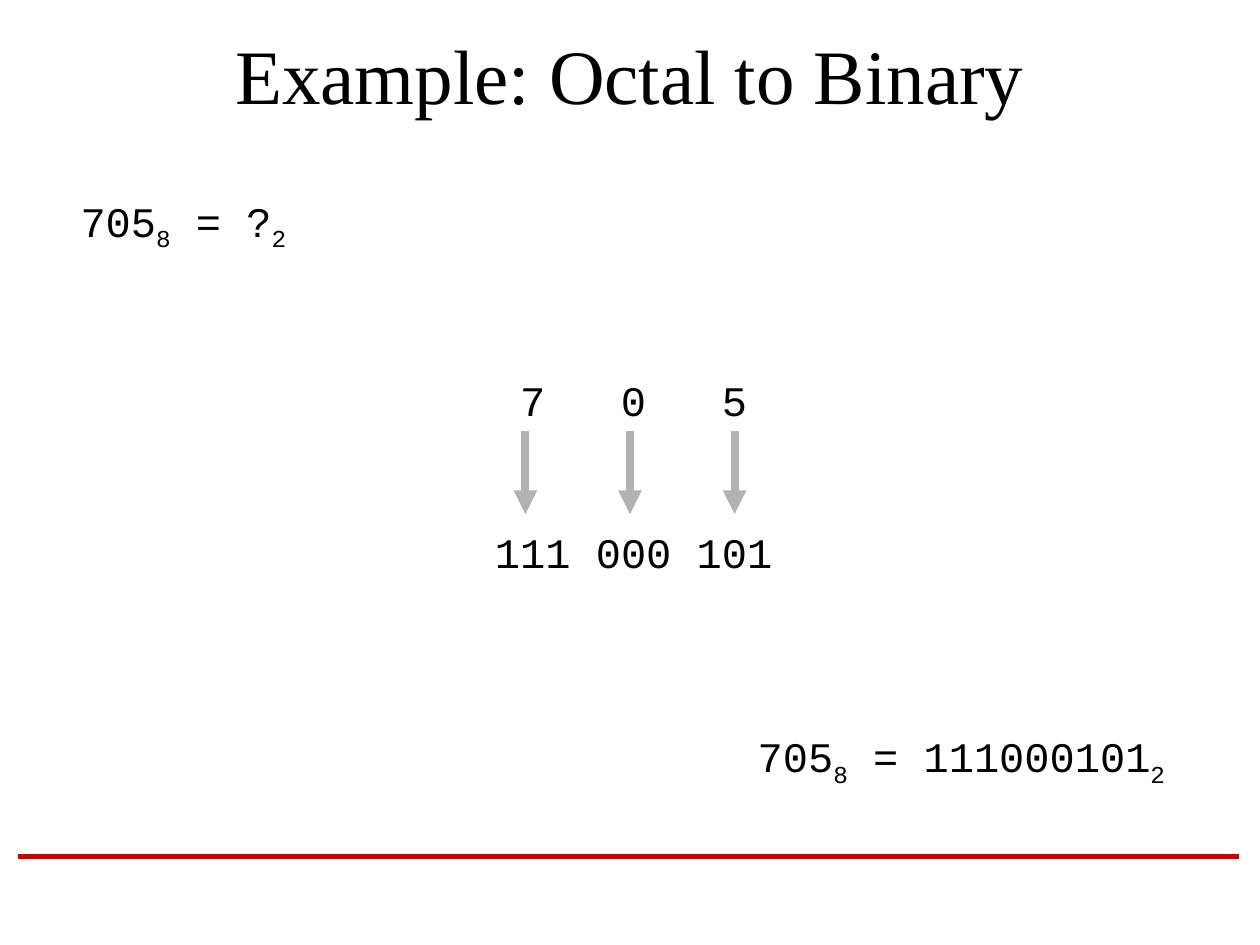
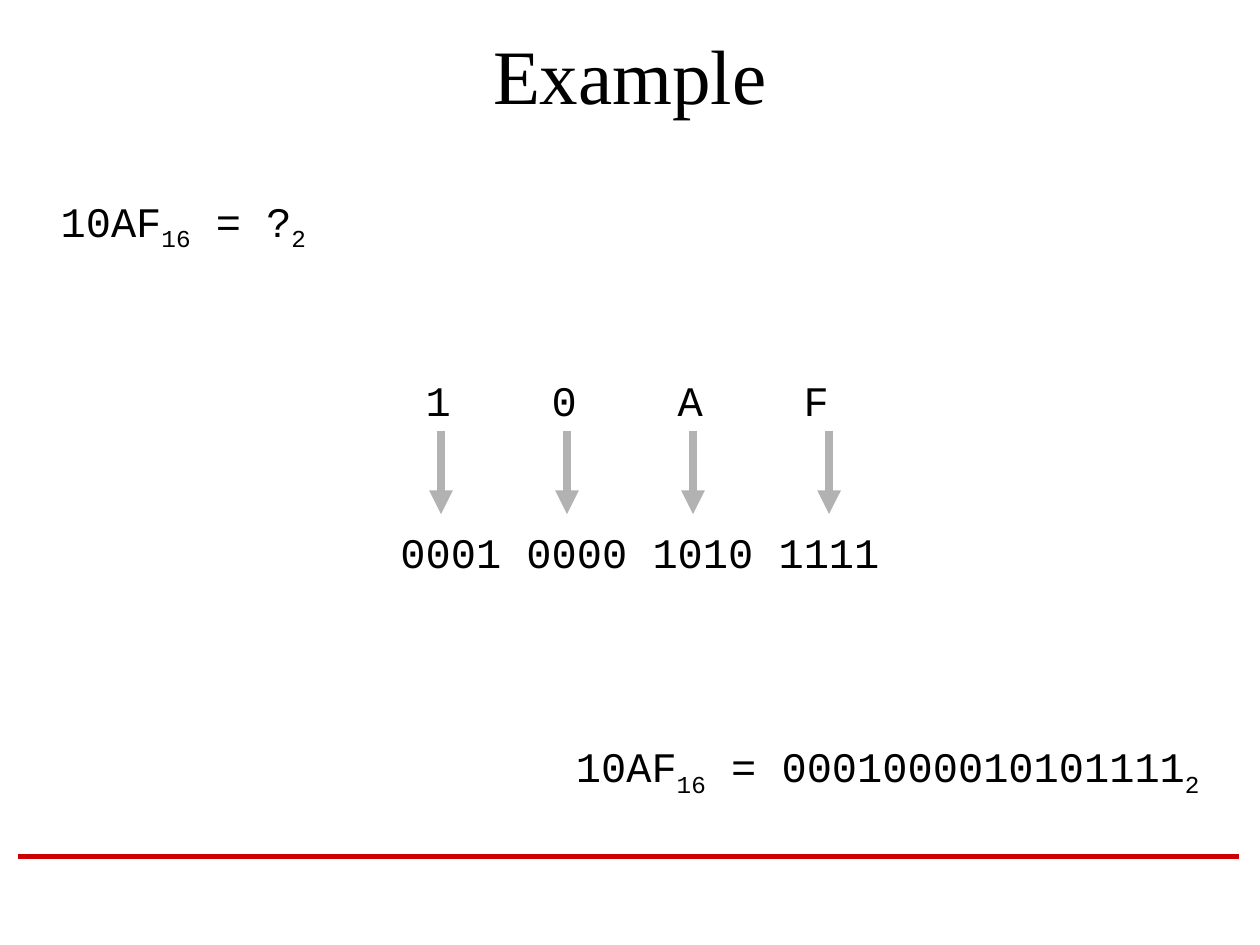
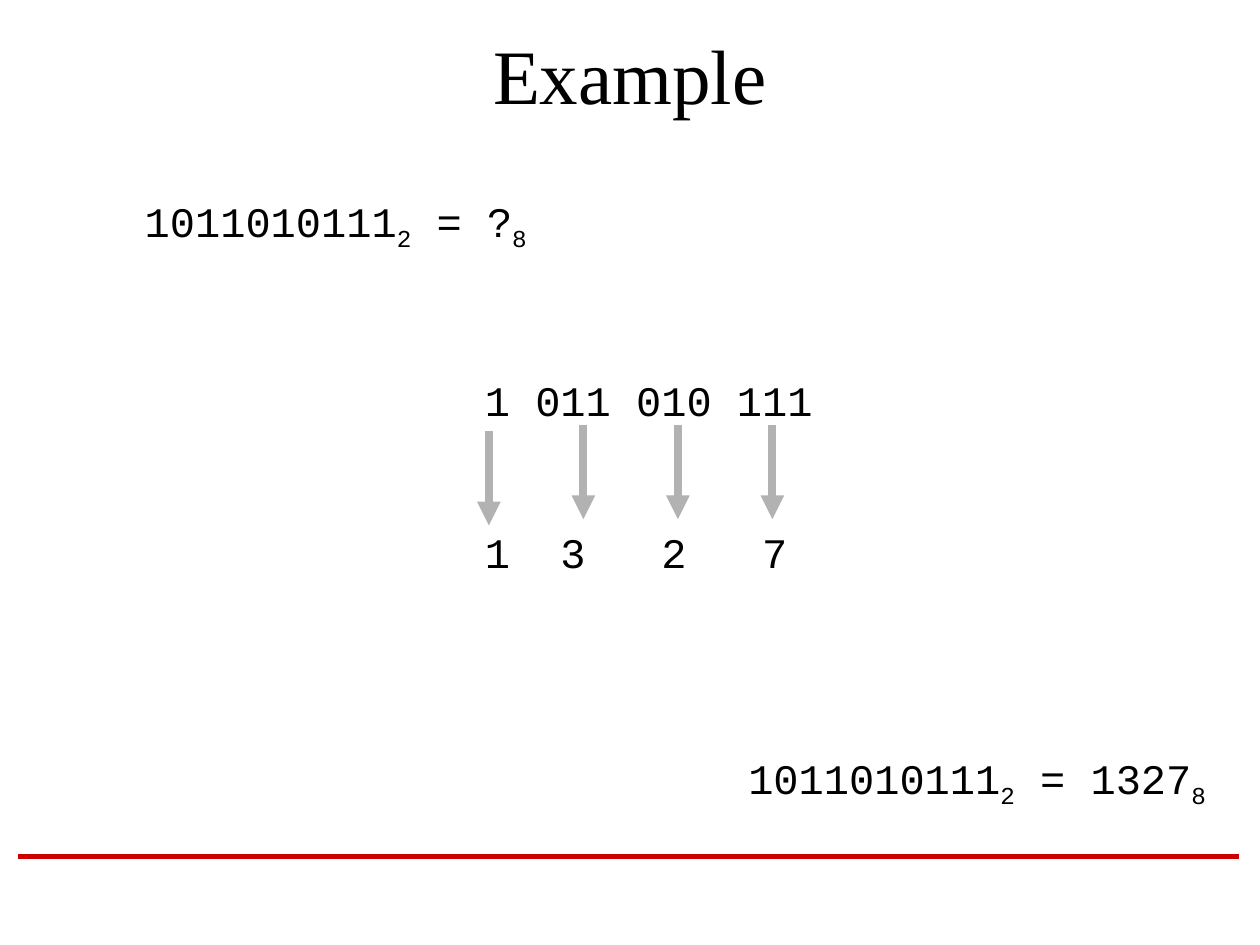
from dataclasses import dataclass

import pptx
import pptx.dml.color
import pptx.enum.shapes
import pptx.enum.text
import pptx.oxml.ns
import pptx.util
from lxml import etree

Inches = pptx.util.Inches
Pt = pptx.util.Pt
Align = pptx.enum.text.PP_ALIGN
Anchor = pptx.enum.text.MSO_ANCHOR
qn = pptx.oxml.ns.qn


@dataclass(frozen=True)
class Theme:
    """Colours, fonts and type sizes shared by all slides."""
    ink: str = "000000"
    rule: str = "CC0000"
    arrow: str = "B2B2B2"
    title_font: str = "Times New Roman"
    code_font: str = "Courier New"
    title_size: float = 44
    code_size: float = 24
    rule_width: float = 3
    arrow_width: float = 4.5
    row_gap: float = 58.5
    char_width: float = 0.2


THEME = Theme()


def apply(target, values):
    """Set each attribute named in a dict of format values."""
    for key, value in values.items():
        setattr(target, key, value)


def place(shape, left, top, width, height):
    """Move and size a shape, in inches."""
    apply(shape, {"left": Inches(left), "top": Inches(top),
                  "width": Inches(width), "height": Inches(height)})


def style_font(font, name, size):
    """Give a font its face, size and the ink colour."""
    apply(font, {"name": name, "size": Pt(size), "bold": False})
    font.color.rgb = pptx.dml.color.RGBColor.from_string(THEME.ink)


def add_line(slide, start, end, color, width, arrowhead=False):
    """Draw a straight line, with a triangle at its end if asked."""
    line = slide.shapes.add_connector(
        pptx.enum.shapes.MSO_CONNECTOR.STRAIGHT, *map(Inches, start + end))
    line.line.color.rgb = pptx.dml.color.RGBColor.from_string(color)
    line.line.width = Pt(width)
    if arrowhead:
        etree.SubElement(line.line._get_or_add_ln(), qn("a:tailEnd"), type="triangle")
    etree.SubElement(line.element.spPr, qn("a:effectLst"))
    return line


def add_code_box(slide, box):
    """Add a text box for monospaced text and return its frame."""
    frame = slide.shapes.add_textbox(*map(Inches, box)).text_frame
    apply(frame, {"word_wrap": True, "vertical_anchor": Anchor.TOP})
    return frame


def add_code_run(paragraph, text):
    """Append a run in the code style."""
    run = paragraph.add_run()
    run.text = text
    style_font(run.font, THEME.code_font, THEME.code_size)
    return run


def add_equation(slide, box, numbers, align=Align.CENTER):
    """Write two numbers joined by an equals sign, each with its base."""
    paragraph = add_code_box(slide, box).paragraphs[0]
    paragraph.alignment = align
    for prefix, (digits, base) in zip(("", " = "), numbers):
        add_code_run(paragraph, prefix + digits)
        subscript = add_code_run(paragraph, base)
        subscript.font._element.set("baseline", "-25000")


def add_digit_rows(slide, box, rows, columns):
    """Write the digit rows, with tab stops at the given character columns."""
    frame = add_code_box(slide, box)
    for index, row in enumerate(rows):
        paragraph = frame.add_paragraph() if index else frame.paragraphs[0]
        apply(paragraph, {"alignment": Align.LEFT,
                          "space_before": Pt(THEME.row_gap if index else 0)})
        if "\t" in row:
            stops = etree.SubElement(paragraph._p.get_or_add_pPr(), qn("a:tabLst"))
            for column in columns:
                position = Inches(column * THEME.char_width)
                etree.SubElement(stops, qn("a:tab"), pos=str(position), algn="l")
        add_code_run(paragraph, row)


def add_arrows(slide, starts, length):
    """Draw a downward arrow from each starting point."""
    for x, y in starts:
        add_line(slide, (x, y), (x, y + length), THEME.arrow, THEME.arrow_width, True)


def add_example(deck, title, question, working, arrows, answer):
    """Add one conversion slide: question, digit groups, arrows and answer."""
    slide = deck.slides.add_slide(deck.slide_layouts[5])
    heading = slide.shapes.title
    place(heading, 0.75, 0.17, 8.5, 0.83)
    heading.text_frame.text = title
    heading.text_frame.vertical_anchor = Anchor.MIDDLE
    paragraph = heading.text_frame.paragraphs[0]
    paragraph.alignment = Align.CENTER
    style_font(paragraph.runs[0].font, THEME.title_font, THEME.title_size)
    add_equation(slide, **question)
    add_digit_rows(slide, **working)
    add_arrows(slide, **arrows)
    add_equation(slide, **answer)
    return slide


def add_master_rule(deck, slide):
    """Draw the red footer rule and move it to the slide master."""
    rule = add_line(slide, (0.14, 6.8), (9.83, 6.8), THEME.rule, THEME.rule_width)
    deck.slide_master.shapes.element.append(rule.element)


def main():
    """Build and save the three conversion slides."""
    deck = pptx.Presentation()
    apply(deck, {"slide_width": Inches(10), "slide_height": Inches(7.5)})
    octal, hexadecimal, binary = ("705", "8"), ("10AF", "16"), ("1011010111", "2")

    first = add_example(
        deck, "Example: Octal to Binary",
        question={"box": (0.33, 1.5, 2.25, 0.56), "numbers": (octal, ("?", "2"))},
        working={"box": (3.83, 2.92, 2.92, 1.72), "columns": range(1, 12, 4),
                 "rows": ("\t7\t0\t5", "111 000 101")},
        arrows={"starts": [(4.17 + 0.83 * i, 3.42) for i in range(3)], "length": 0.66},
        answer={"box": (5.67, 5.75, 3.92, 0.56), "numbers": (octal, ("111000101", "2"))})
    add_master_rule(deck, first)

    add_example(
        deck, "Example",
        question={"box": (0.33, 1.5, 2.25, 0.56), "numbers": (hexadecimal, ("?", "2"))},
        working={"box": (3.08, 2.92, 4.17, 1.72), "columns": range(1, 20, 5),
                 "rows": ("\t1\t0\tA\tF", "0001 0000 1010 1111")},
        arrows={"starts": [(x, 3.42) for x in (3.5, 4.5, 5.5, 6.58)], "length": 0.66},
        answer={"box": (4.42, 5.83, 5.25, 0.56),
                "numbers": (hexadecimal, ("0001000010101111", "2"))})

    add_example(
        deck, "Example",
        question={"box": (0.33, 1.5, 4.67, 0.56), "numbers": (binary, ("?", "8"))},
        working={"box": (3.75, 2.92, 4.67, 1.77), "columns": range(3, 12, 4),
                 "rows": ("1 011 010 111", "1\t3\t2\t7")},
        arrows={"starts": [(3.88 + 0.75 * i, 3.37 if i else 3.42) for i in range(4)],
                "length": 0.75},
        answer={"box": (5, 5.92, 4.67, 0.56), "numbers": (binary, ("1327", "8")),
                "align": Align.RIGHT})

    deck.save("out.pptx")


if __name__ == "__main__":
    main()
